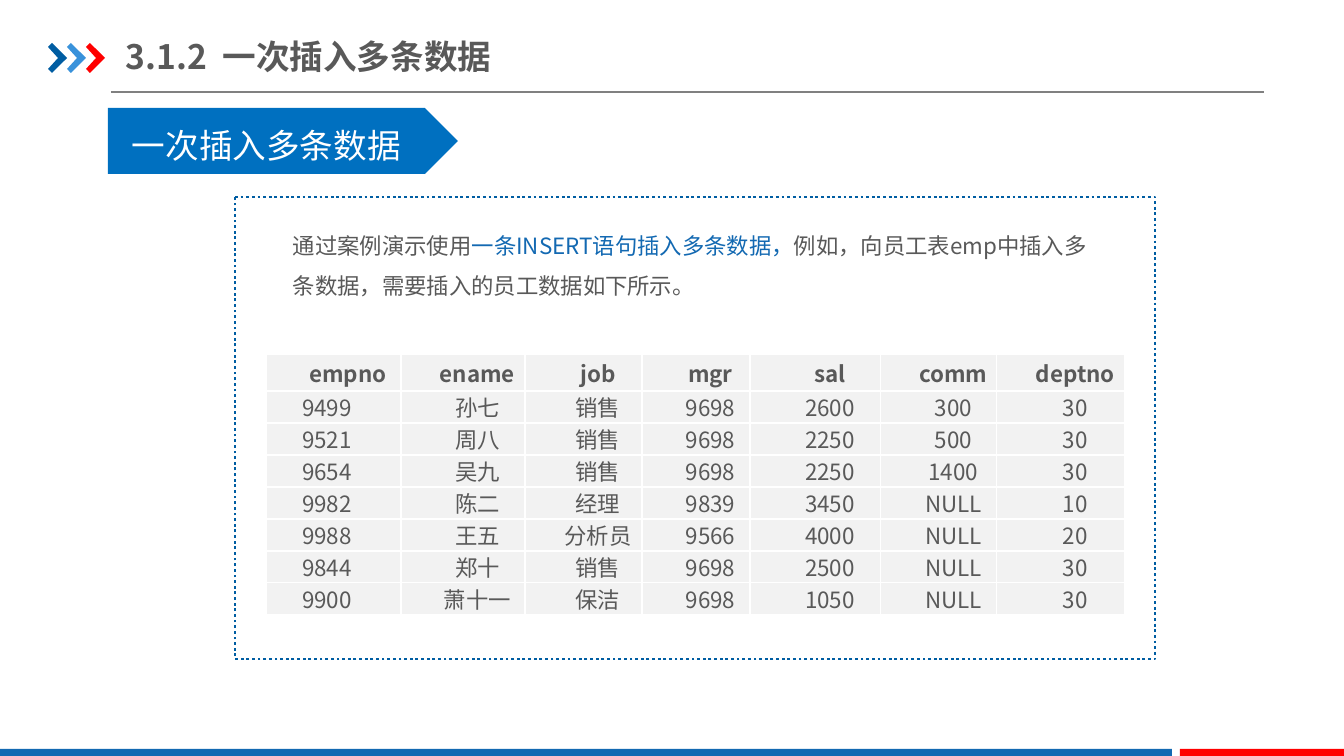
from lxml.etree import SubElement
from pptx import Presentation
from pptx.dml.color import RGBColor
from pptx.enum.dml import MSO_LINE
from pptx.enum.shapes import MSO_CONNECTOR, MSO_SHAPE
from pptx.enum.text import MSO_ANCHOR, PP_ALIGN
from pptx.oxml import parse_xml
from pptx.oxml.ns import nsdecls, qn
from pptx.util import Pt

PX = 12192000 / 1344
FONT = "Noto Sans CJK SC"
COLORS = {
    "white": "FFFFFF", "text": "595959", "rule": "808080", "cell": "F2F2F2",
    "navy": "005DA2", "sky": "3992DB", "red": "FF0000",
    "blue": "1369B2", "banner": "0070C0",
}


def px(*lengths):
    """Turn pixel lengths into a list of EMU values."""
    return [round(length * PX) for length in lengths]


def style_run(run, size, color, bold=False):
    run.font.size = Pt(size)
    run.font.bold = bold
    run.font.name = FONT
    run.font.color.rgb = RGBColor.from_string(COLORS[color])
    SubElement(run.font._element, qn("a:ea"), typeface=FONT)


presentation = Presentation()
presentation.slide_width, presentation.slide_height = px(1344, 756)
slide = presentation.slides.add_slide(presentation.slide_layouts[6])
shapes = slide.shapes

# Title rule and chevrons
rule = shapes.add_connector(MSO_CONNECTOR.STRAIGHT, *px(111, 92, 1264, 92))
rule.line.color.rgb = RGBColor.from_string(COLORS["rule"])
rule.line.width = Pt(0.75)
SubElement(rule._element.spPr, qn("a:effectLst"))

CHEVRON = [(48, 47), (52, 43), (67, 58), (52, 73), (48, 69), (58, 58)]
for index, color in enumerate(["navy", "sky", "red"]):
    points = [(x + 19 * index, y) for x, y in CHEVRON]
    builder = shapes.build_freeform(*points[0], scale=PX)
    builder.add_line_segments(points[1:], close=True)
    chevron = builder.convert_to_shape()
    chevron.shadow.inherit = False
    chevron.fill.solid()
    chevron.fill.fore_color.rgb = RGBColor.from_string(COLORS[color])
    chevron.line.fill.background()

# Footer bars, content frame and section banner
for kind, box, color in [
    (MSO_SHAPE.RECTANGLE, (0, 749, 1172, 7), "blue"),
    (MSO_SHAPE.RECTANGLE, (1180, 749, 164, 7), "red"),
    (MSO_SHAPE.FLOWCHART_PROCESS, (235, 197, 920, 462), "white"),
    (MSO_SHAPE.PENTAGON, (108, 108, 350, 66), "banner"),
]:
    shape = shapes.add_shape(kind, *px(*box))
    shape.shadow.inherit = False
    shape.fill.solid()
    shape.fill.fore_color.rgb = RGBColor.from_string(COLORS[color])
    if kind == MSO_SHAPE.FLOWCHART_PROCESS:
        shape.line.color.rgb = RGBColor.from_string(COLORS["navy"])
        shape.line.width = Pt(2)
        shape.line.dash_style = MSO_LINE.ROUND_DOT
    else:
        shape.line.fill.background()

# Title, banner label and introduction
title = [("3.1.2  一次插入多条数据", "text")]
label = [("一次插入多条数据", "white")]
introduction = [
    ("通过案例演示使用", "text"),
    ("一条INSERT语句插入多条数据，", "blue"),
    ("例如，向员工表emp中插入多条数据，需要插入的员工数据如下所示。", "text"),
]
for box, runs, size, bold, spacing, margin, anchor in [
    ((126, 29, 429, 55), title, 24, True, 1, 0, MSO_ANCHOR.MIDDLE),
    ((122, 100, 323, 72), label, 24, False, 1.5, 10, MSO_ANCHOR.TOP),
    ((283, 214, 828, 92), introduction, 16, False, 1.5, 10, MSO_ANCHOR.TOP),
]:
    text_frame = shapes.add_textbox(*px(*box)).text_frame
    text_frame.word_wrap = True
    text_frame.vertical_anchor = anchor
    text_frame.margin_left, text_frame.margin_right = px(margin, margin)
    paragraph = text_frame.paragraphs[0]
    paragraph.line_spacing = spacing
    for text, color in runs:
        run = paragraph.add_run()
        run.text = text
        style_run(run, size, color, bold)

# Employee table
EMPLOYEES = [
    ["empno", "ename", "job", "mgr", "sal", "comm", "deptno"],
    ["9499", "孙七", "销售", "9698", "2600", "300", "30"],
    ["9521", "周八", "销售", "9698", "2250", "500", "30"],
    ["9654", "吴九", "销售", "9698", "2250", "1400", "30"],
    ["9982", "陈二", "经理", "9839", "3450", "NULL", "10"],
    ["9988", "王五", "分析员", "9566", "4000", "NULL", "20"],
    ["9844", "郑十", "销售", "9698", "2500", "NULL", "30"],
    ["9900", "萧十一", "保洁", "9698", "1050", "NULL", "30"],
]
COLUMN_WIDTHS = [135, 124, 117, 108, 131, 116, 128]
HEADER_HEIGHT, ROW_HEIGHT = 37, 32

table = shapes.add_table(
    len(EMPLOYEES), len(COLUMN_WIDTHS),
    *px(266, 354, sum(COLUMN_WIDTHS), HEADER_HEIGHT + 7 * ROW_HEIGHT),
).table
table.horz_banding = False
for column, width in zip(table.columns, COLUMN_WIDTHS):
    column.width = px(width)[0]

for row_index, values in enumerate(EMPLOYEES):
    is_header = row_index == 0
    table.rows[row_index].height = px(HEADER_HEIGHT if is_header else ROW_HEIGHT)[0]
    for column_index, value in enumerate(values):
        cell = table.cell(row_index, column_index)
        cell.margin_left, cell.margin_right = px(7, 7)
        cell.margin_top = cell.margin_bottom = 0
        cell.vertical_anchor = MSO_ANCHOR.MIDDLE
        properties = cell._tc.get_or_add_tcPr()
        for edge in ["lnL", "lnR", "lnT", "lnB"]:
            properties.append(parse_xml(
                f'<a:{edge} {nsdecls("a")} w="12700"><a:solidFill>'
                f'<a:srgbClr val="{COLORS["white"]}"/></a:solidFill></a:{edge}>'
            ))
        cell.fill.solid()
        cell.fill.fore_color.rgb = RGBColor.from_string(COLORS["cell"])
        paragraph = cell.text_frame.paragraphs[0]
        paragraph.text = value
        is_number_column = column_index == 0 and not is_header
        paragraph.alignment = PP_ALIGN.JUSTIFY if is_number_column else PP_ALIGN.CENTER
        paragraph._p.get_or_add_pPr().set("indent", str(px(29)[0]))
        style_run(paragraph.runs[0], 16, "text", is_header)

presentation.save("out.pptx")
